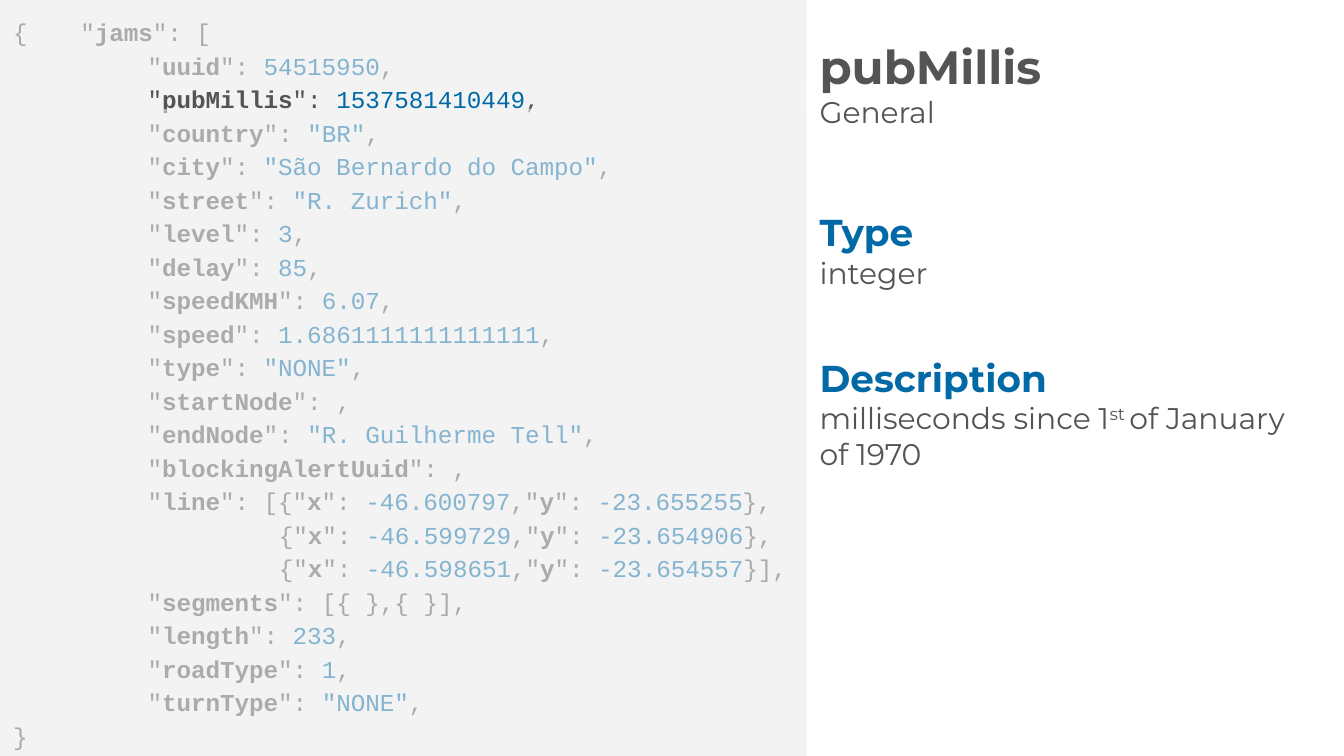
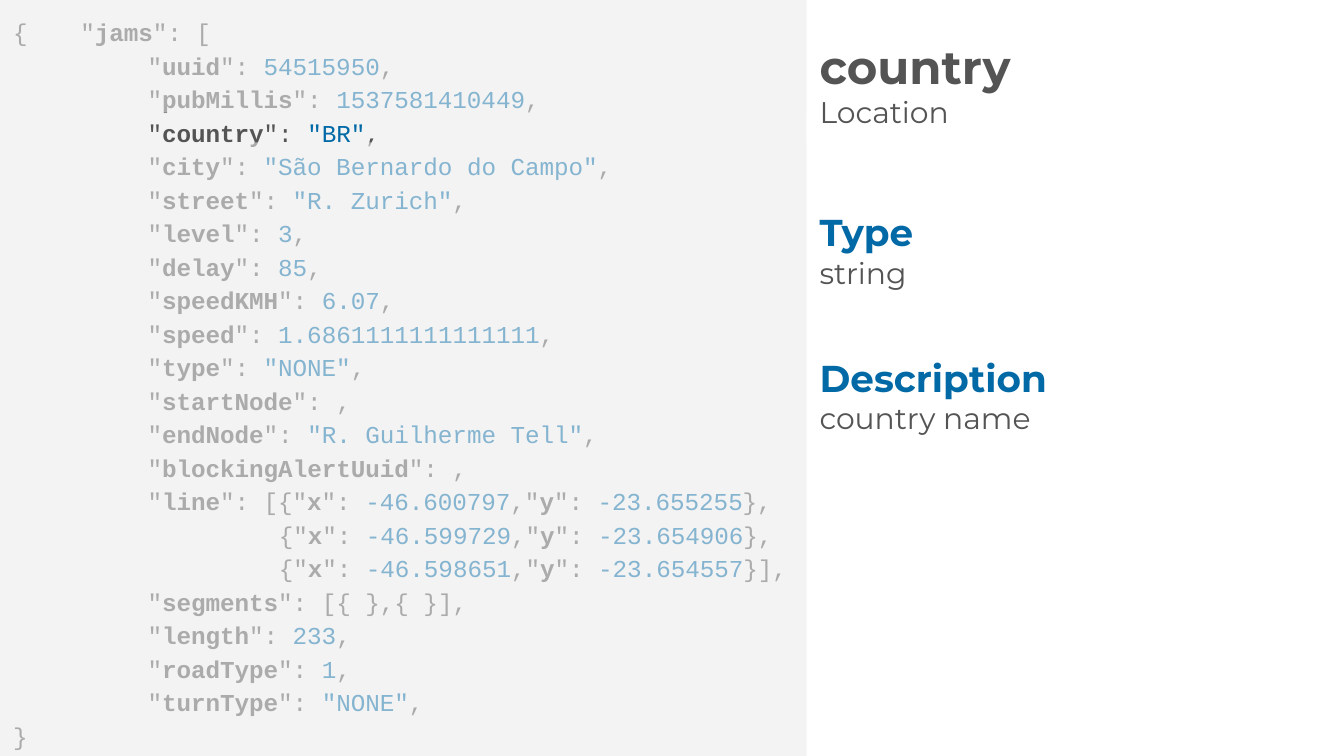
from pptx import Presentation
from pptx.dml.color import RGBColor
from pptx.enum import shapes, text
from pptx.oxml.ns import qn
from pptx.util import Cm, Pt
from lxml import etree

GREY = RGBColor(0x54, 0x54, 0x54)
BLUE = RGBColor(0x00, 0x69, 0xA6)
PANEL = RGBColor(0xF3, 0xF3, 0xF3)
CODE_FONT, TEXT_FONT = "Courier New", "Montserrat"

WIDTH, HEIGHT = Cm(25.4), Cm(14.29)
PANEL_WIDTH = Cm(15.24)
INSET = Cm(0.25)
KEY_INDENT, POINT_INDENT = Cm(2.54), Cm(5.02)
# Place of the code rows that the veils leave clear
FIRST_ROW, ROW_PITCH, CLEAR_HEIGHT = Cm(0.24), Cm(0.63), Cm(0.56)


# Code content: each row is (indent, [(text, bold, colour), ...])
def pair(key, value="", tail=","):
    return [('"', False, GREY), (key, True, GREY), ('": ', False, GREY),
            (value, False, BLUE), (tail, False, GREY)]


def point(x, y, tail="},"):
    return pair("x", x) + pair("y", y, tail)


def plain(symbol):
    return [(symbol, False, GREY)]


FIELDS = [
    ("uuid", "54515950"),
    ("pubMillis", "1537581410449"),
    ("country", '"BR"'),
    ("city", '"São Bernardo do Campo"'),
    ("street", '"R. Zurich"'),
    ("level", "3"),
    ("delay", "85"),
    ("speedKMH", "6.07"),
    ("speed", "1.6861111111111111"),
    ("type", '"NONE"'),
    ("startNode", ""),
    ("endNode", '"R. Guilherme Tell"'),
    ("blockingAlertUuid", ""),
]
CLOSING_FIELDS = [("length", "233"), ("roadType", "1"), ("turnType", '"NONE"')]

CODE = [
    (0, plain("{\t") + pair("jams", tail="[")),
    *[(KEY_INDENT, pair(*field)) for field in FIELDS],
    (KEY_INDENT, pair("line", tail="[{") + point("-46.600797", "-23.655255")),
    (POINT_INDENT, plain("{") + point("-46.599729", "-23.654906")),
    (POINT_INDENT, plain("{") + point("-46.598651", "-23.654557", "}],")),
    (KEY_INDENT, pair("segments", tail="[{ },{ }],")),
    *[(KEY_INDENT, pair(*field)) for field in CLOSING_FIELDS],
    (0, plain("}")),
]

# Field, group, type, description as (text, superscript) runs
PAGES = [
    ("pubMillis", "General", "integer",
     [("milliseconds since 1", False), ("st ", True),
      ("of January of 1970", False)]),
    ("country", "Location", "string", [("country name", False)]),
]


# Text helpers
def add_run(paragraph, words, size, font, colour, bold=False, raised=False):
    run = paragraph.add_run()
    run.text = words
    run.font.size, run.font.name, run.font.bold = Pt(size), font, bold
    run.font.color.rgb = colour
    if raised:
        run.font._element.set("baseline", "30000")


def prepare_frame(shape, anchor=text.MSO_ANCHOR.TOP):
    frame = shape.text_frame
    frame.word_wrap = True
    frame.auto_size = text.MSO_AUTO_SIZE.NONE
    frame.vertical_anchor = anchor
    frame.margin_left = frame.margin_right = INSET
    frame.margin_top = frame.margin_bottom = INSET
    return frame


# Slide parts
def add_panel(slide, top, opacity=None):
    panel = slide.shapes.add_shape(
        shapes.MSO_SHAPE.RECTANGLE, 0, top, PANEL_WIDTH, HEIGHT)
    panel.shadow.inherit = False
    panel.line.fill.background()
    panel.fill.solid()
    panel.fill.fore_color.rgb = PANEL
    if opacity:
        colour = panel._element.spPr.find(".//" + qn("a:srgbClr"))
        etree.SubElement(colour, qn("a:alpha"), val=str(opacity * 1000))
    return panel


def add_code(slide):
    frame = prepare_frame(add_panel(slide, 0))
    for number, (indent, pieces) in enumerate(CODE):
        row = frame.paragraphs[0] if number == 0 else frame.add_paragraph()
        row.alignment = text.PP_ALIGN.LEFT
        row.line_spacing = 1.15
        margins = row._p.get_or_add_pPr()
        margins.set("marL", str(indent))
        margins.set("indent", "0")
        for words, bold, colour in pieces:
            if words:
                add_run(row, words, 13, CODE_FONT, colour, bold)


def add_title(slide, field, group):
    title = slide.shapes.title
    title.left, title.top = PANEL_WIDTH, Cm(0.41)
    title.width, title.height = Cm(10.16), Cm(2.34)
    frame = prepare_frame(title, text.MSO_ANCHOR.MIDDLE)
    add_run(frame.paragraphs[0], field, 25, TEXT_FONT, GREY, bold=True)
    add_run(frame.add_paragraph(), group, 16, TEXT_FONT, GREY)
    for paragraph in frame.paragraphs:
        paragraph.alignment = text.PP_ALIGN.LEFT


def add_text_box(slide, top, width, height):
    box = slide.shapes.add_textbox(PANEL_WIDTH, top, width, height)
    return prepare_frame(box).paragraphs[0]


def add_section(slide, top, heading, pieces):
    label = add_text_box(slide, top, Cm(4.9), Cm(1.27))
    add_run(label, heading, 20, TEXT_FONT, BLUE, bold=True)
    detail = add_text_box(slide, top + Cm(0.85), Cm(9.3), Cm(2.21))
    for words, raised in pieces:
        add_run(detail, words, 16, TEXT_FONT, GREY, raised=raised)


def add_veils(slide, field):
    row = 1 + [name for name, _ in FIELDS].index(field)
    clear_top = FIRST_ROW + row * ROW_PITCH
    for top in (clear_top + CLEAR_HEIGHT, clear_top - HEIGHT):
        add_panel(slide, top, opacity=55)


def main():
    deck = Presentation()
    deck.slide_width, deck.slide_height = WIDTH, HEIGHT
    title_only = deck.slide_layouts[5]
    for field, group, kind, description in PAGES:
        slide = deck.slides.add_slide(title_only)
        add_code(slide)
        add_title(slide, field, group)
        add_section(slide, Cm(3.71), "Type", [(kind, False)])
        add_section(slide, Cm(6.46), "Description", description)
        add_veils(slide, field)
    deck.save("out.pptx")


if __name__ == "__main__":
    main()
